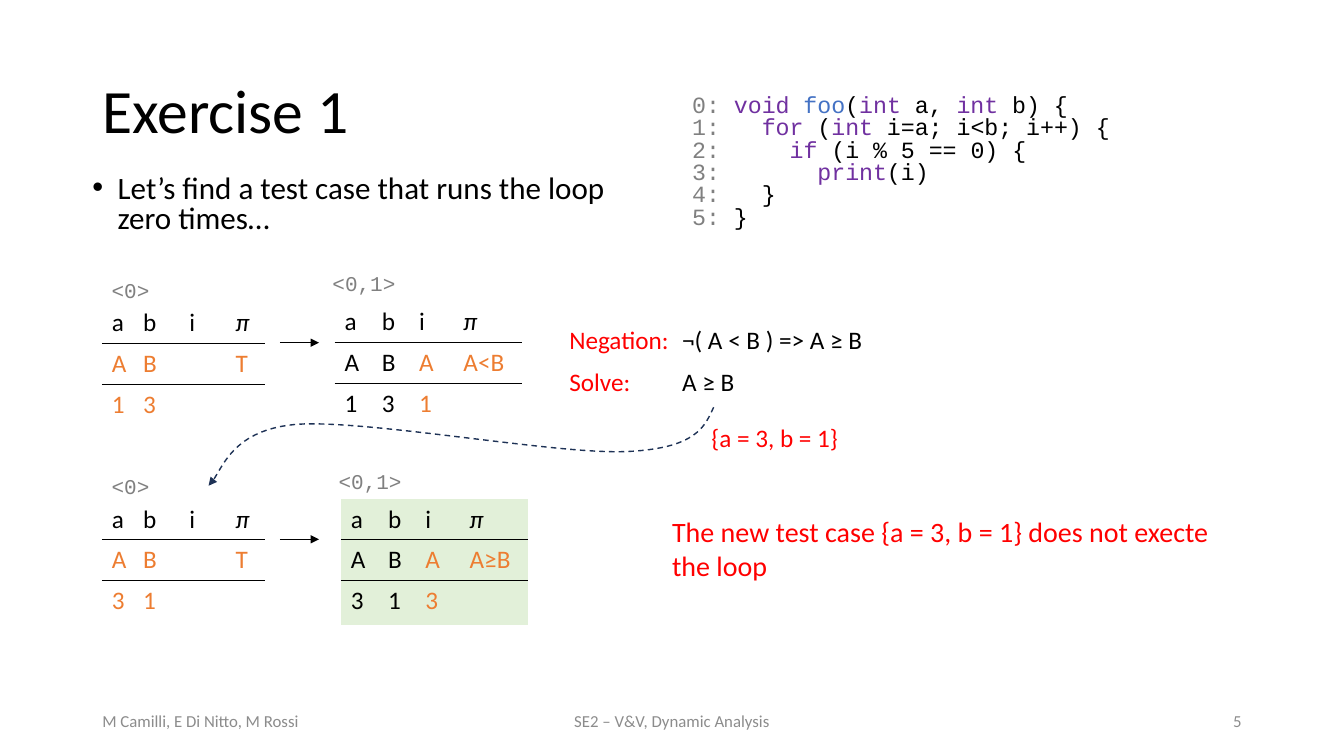
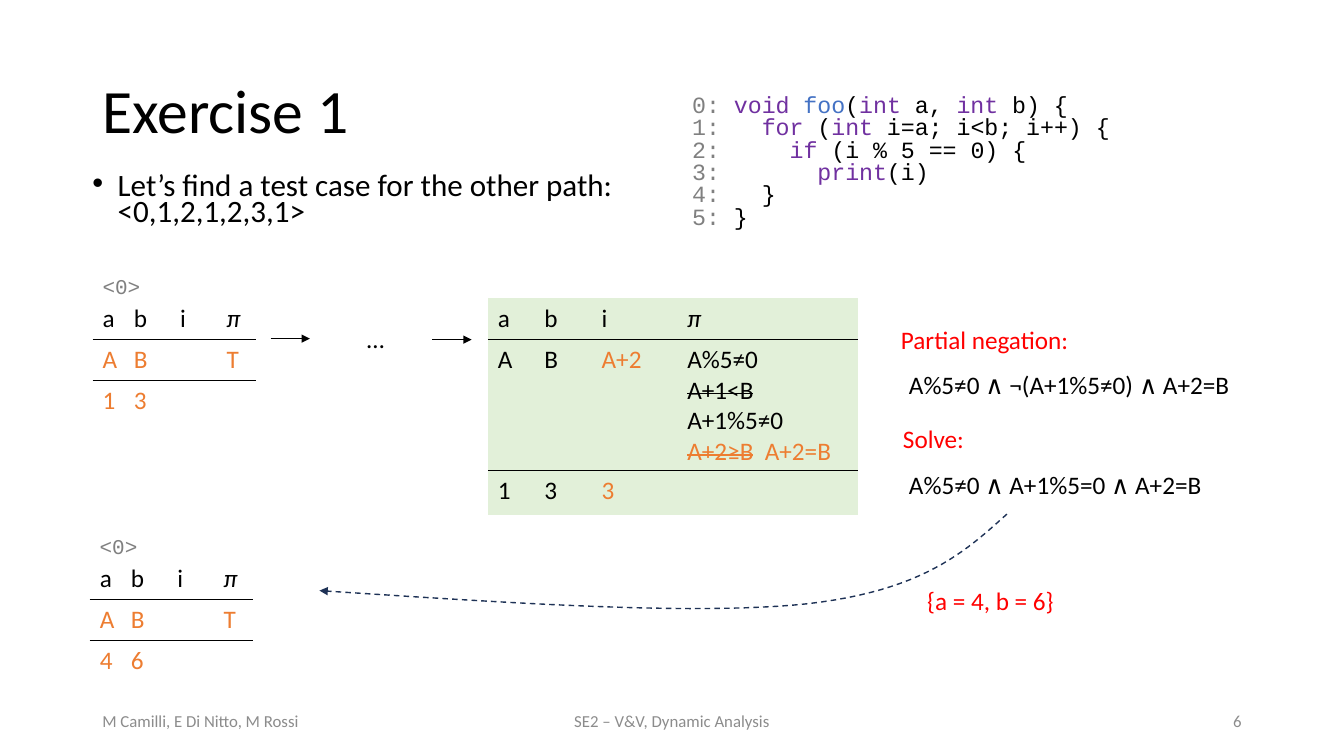
from dataclasses import dataclass
from typing import Sequence

from lxml import etree
from pptx import Presentation
from pptx.dml.color import RGBColor
from pptx.enum.dml import MSO_LINE
from pptx.enum.shapes import MSO_CONNECTOR
from pptx.enum.text import MSO_ANCHOR, PP_ALIGN
from pptx.oxml.ns import qn
from pptx.util import Pt

LEFT, CENTER, RIGHT = PP_ALIGN.LEFT, PP_ALIGN.CENTER, PP_ALIGN.RIGHT
TOP, MIDDLE = MSO_ANCHOR.TOP, MSO_ANCHOR.MIDDLE
STRAIGHT, DASH = MSO_CONNECTOR.STRAIGHT, MSO_LINE.DASH
PLAIN_TABLE = "{2D5ABB26-0587-4C30-8999-92F81FD0307C}"


@dataclass(frozen=True)
class Theme:
    black: str = "000000"
    red: str = "FF0000"
    orange: str = "ED7D31"
    gray: str = "808080"
    footer: str = "8C8C8C"
    keyword: str = "7030A0"
    function: str = "4472C4"
    navy: str = "1E3256"
    green: str = "E2F0D9"
    sans: str = "Calibri"
    mono: str = "Courier New"
    title_size: float = 44
    body_size: float = 22.2
    note_size: float = 20
    text_size: float = 18
    code_size: float = 16.6
    label_size: float = 15
    footer_size: float = 12


T = Theme()


@dataclass(frozen=True)
class Run:
    text: str
    color: str = T.black
    italic: bool = False
    strike: bool = False


@dataclass(frozen=True)
class Style:
    size: float = T.text_size
    font: str = T.sans
    align: PP_ALIGN = LEFT
    anchor: MSO_ANCHOR = TOP
    spacing: float = 1
    bullet: bool = False


Line = Sequence[Run]
Point = tuple[float, float]


@dataclass(frozen=True)
class State:
    """A symbolic execution state: names, symbols and concrete values."""
    x: float
    y: float
    cols: Sequence[float]
    rows: Sequence[Sequence[Sequence[Line]]]
    fill: str = ""


TITLE = Style(T.title_size, anchor=MIDDLE, spacing=0.9)
TEXT = Style()
NOTE = Style(T.note_size)
LABEL = Style(T.label_size, T.mono)
CODE = Style(T.code_size, T.mono, spacing=0.8)

START_COLS = (22.3, 33.1, 33.1, 28.1)
STEP_COLS = (26.6, 26.6, 31.7, 49)
PATH_COLS = (33.1, 41, 61.2, 128.9)
ROW_HEIGHTS = (29.2, 29.2, 32)


def num(n: int) -> Run:
    return Run(f"{n}:", T.gray)


def kw(text: str) -> Run:
    return Run(text, T.keyword)


def cell(text: str, color: str = T.black) -> Sequence[Line]:
    return ((Run(text, color),),) if text else ()


HEADER = (cell("a"), cell("b"), cell("i"), ((Run("π", italic=True),),))
SOURCE_CODE = (
    (num(0), kw(" void "), Run("foo", T.function), Run("("), kw("int"),
     Run(" a, "), kw("int"), Run(" b) {")),
    (num(1), kw("   for "), Run("("), kw("int "), Run("i=a; i<b; i++) {")),
    (num(2), kw("     if"), Run(" (i % 5 == 0) {")),
    (num(3), kw("       print"), Run("(i)")),
    (num(4), Run("   }")),
    (num(5), Run(" }")),
)


# Text
def write(tf, lines: Sequence[Line], st: Style) -> None:
    p = tf.paragraphs[0]
    if st.bullet:
        pPr = p._p.get_or_add_pPr()
        pPr.set("marL", str(Pt(18)))
        pPr.set("indent", str(-Pt(18)))
        etree.SubElement(pPr, qn("a:buFont"), typeface="Arial")
        etree.SubElement(pPr, qn("a:buChar"), char="•")
    p.alignment = st.align
    p.line_spacing = st.spacing
    for i, line in enumerate(lines):
        if i:
            p.add_line_break()
            etree.SubElement(p._p[-1], qn("a:rPr"), sz=str(round(st.size * 100)))
        for run in line:
            r = p.add_run()
            r.text = run.text
            r.font.size = Pt(st.size)
            r.font.name = st.font
            r.font.color.rgb = RGBColor.from_string(run.color)
            if run.italic:
                r.font.italic = True
            if run.strike:
                r._r.get_or_add_rPr().set("strike", "sngStrike")


def add_lines(s, x: float, y: float, w: float, h: float,
              lines: Sequence[Line], st: Style = TEXT) -> None:
    tf = s.shapes.add_textbox(Pt(x), Pt(y), Pt(w), Pt(h)).text_frame
    tf.word_wrap = True
    tf.vertical_anchor = st.anchor
    write(tf, lines, st)


def add_text(s, x: float, y: float, w: float, text: str,
             color: str = T.black, st: Style = TEXT, h: float = 28.8) -> None:
    add_lines(s, x, y, w, h, [(Run(t, color),) for t in text.split("\n")], st)


# Arrows
def add_arrowhead(sp) -> None:
    etree.SubElement(sp.line._get_or_add_ln(), qn("a:tailEnd"), type="triangle")


def add_arrow(s, x: float, y: float) -> None:
    sp = s.shapes.add_connector(STRAIGHT, Pt(x), Pt(y), Pt(x + 28), Pt(y))
    sp.line.color.rgb = RGBColor.from_string(T.black)
    sp.line.width = Pt(0.5)
    add_arrowhead(sp)
    etree.SubElement(sp._element.spPr, qn("a:effectLst"))


def bezier(a: Point, b: Point, c: Point, d: Point, t: float) -> Point:
    u = 1 - t
    x, y = (u**3 * a[k] + 3 * u * u * t * b[k] + 3 * u * t * t * c[k] + t**3 * d[k]
            for k in (0, 1))
    return Pt(x), Pt(y)


def add_curve(s, pts: Sequence[Point], steps: int = 24) -> None:
    """Dashed arrow along chained cubic curves, three points per curve."""
    outline = [bezier(*pts[i:i + 4], n / steps)
               for i in range(0, len(pts) - 1, 3) for n in range(1, steps + 1)]
    fb = s.shapes.build_freeform(Pt(pts[0][0]), Pt(pts[0][1]), scale=1.0)
    fb.add_line_segments(outline, close=False)
    sp = fb.convert_to_shape()
    sp.shadow.inherit = False
    sp.fill.background()
    sp.line.color.rgb = RGBColor.from_string(T.navy)
    sp.line.width = Pt(1)
    sp.line.dash_style = DASH
    add_arrowhead(sp)


# State tables
def add_border(tcPr, side: str) -> None:
    ln = etree.Element(qn(f"a:{side}"), w=str(Pt(1)))
    fill = etree.SubElement(ln, qn("a:solidFill"))
    etree.SubElement(fill, qn("a:srgbClr"), val=T.black)
    tcPr.insert(0, ln)


def add_state(s, st: State) -> None:
    tbl = s.shapes.add_table(len(st.rows), len(st.cols), Pt(st.x), Pt(st.y),
                             Pt(sum(st.cols)), Pt(sum(ROW_HEIGHTS))).table
    tbl.first_row = tbl.horz_banding = False
    tbl._tbl.tblPr.find(qn("a:tableStyleId")).text = PLAIN_TABLE
    for col, w in zip(tbl.columns, st.cols):
        col.width = Pt(w)
    for i, row in enumerate(st.rows):
        tbl.rows[i].height = Pt(ROW_HEIGHTS[i])
        for j, lines in enumerate(row):
            c = tbl.cell(i, j)
            write(c.text_frame, lines, TEXT)
            if st.fill:
                c.fill.solid()
                c.fill.fore_color.rgb = RGBColor.from_string(st.fill)
            else:
                c.fill.background()
            tcPr = c._tc.get_or_add_tcPr()
            if i < len(st.rows) - 1:
                add_border(tcPr, "lnB")
            if i:
                add_border(tcPr, "lnT")


def add_start(s, x: float, y: float, a: str, b: str, arrow: bool = True) -> None:
    """State at line 0, with its label and the arrow to the next state."""
    rows = (HEADER,
            [cell(t, T.orange) for t in ("A", "B", "", "T")],
            [cell(t, T.orange) for t in (a, b, "", "")])
    add_state(s, State(x, y, START_COLS, rows))
    add_text(s, x, y - 21.6, 67, "<0>", T.gray, LABEL, 25.2)
    if arrow:
        add_arrow(s, x + 127.2, y + 28.8)


def add_step(s, x: float, y: float, a: str, b: str, condition: str,
             fill: str = "") -> None:
    """State after line 1, with its label."""
    rows = (HEADER,
            (cell("A"), cell("B"), cell("A", T.orange), cell(condition, T.orange)),
            (cell(a), cell(b), cell(a, T.orange), ()))
    add_state(s, State(x, y, STEP_COLS, rows, fill))
    add_text(s, x - 8.6, y - 25.4, 67, "<0,1>", T.gray, LABEL, 25.2)


# Shared frame: title, task, code and footer
def add_exercise(prs, number: int, task: str, spacing: float):
    s = prs.slides.add_slide(prs.slide_layouts[6])
    for x, w, text, align in ((66, 216, "M Camilli, E Di Nitto, M Rossi", LEFT),
                              (318, 324, "SE2 – V&V, Dynamic Analysis", CENTER),
                              (678, 216, str(number), RIGHT)):
        add_text(s, x, 500.5, w, text, T.footer,
                 Style(T.footer_size, align=align, anchor=MIDDLE))
    add_text(s, 66, 28.75, 828, "Exercise 1", T.black, TITLE, 104.4)
    add_text(s, 59, 121.7, 828, task, T.black,
             Style(T.body_size, spacing=spacing, bullet=True), 54)
    add_lines(s, 487.4, 64.8, 341.3, 110.2, SOURCE_CODE, CODE)
    return s


def build_zero_loops(prs) -> None:
    s = add_exercise(prs, 5, "Let’s find a test case that runs the loop\nzero times…", 0.8)
    add_start(s, 72.7, 216, "1", "3")
    add_step(s, 239, 215.3, "1", "3", "A<B")
    add_start(s, 72.7, 356.4, "3", "1")
    add_step(s, 243.4, 356.4, "3", "1", "A≥B", T.green)
    for y, name, formula in ((228.2, "Negation:", "¬( A < B ) => A ≥ B"),
                             (257.8, "Solve:", "A ≥ B")):
        add_text(s, 399.6, y, 87.8, name, T.red)
        add_text(s, 480.2, y, 182.9, formula)
    add_curve(s, ((509.8, 290.9), (503.3, 305.3), (496.8, 320.4), (447.1, 322.6),
                  (397.4, 324.7), (261.4, 299.5), (211.7, 303.1),
                  (162, 307.4), (158.4, 339.1), (149, 347)))
    add_text(s, 501.1, 298.1, 141, "{a = 3, b = 1}", T.red)
    add_text(s, 473, 364.3, 417, "The new test case {a = 3, b = 1} does not execte\nthe loop",
             T.red, NOTE, 55.4)


def build_other_path(prs) -> None:
    s = add_exercise(prs, 6, "Let’s find a test case for the other path:\n<0,1,2,1,2,3,1>", 0.7)
    add_start(s, 66.2, 213.1, "1", "3")
    add_text(s, 254.9, 227.5, 28.1, "…")
    add_arrow(s, 308.9, 242.6)
    conditions = ((Run("A%5≠0"),), (Run("A+1<B", strike=True),), (Run("A+1%5≠0"),),
                  (Run("A+2≥B", T.orange, strike=True), Run("  A+2=B", T.orange)))
    add_state(s, State(348.5, 213.1, PATH_COLS, (
        HEADER,
        (cell("A"), cell("B"), cell("A+2", T.orange), conditions),
        (cell("1"), cell("3"), cell("3", T.orange), ())), T.green))
    add_text(s, 636.5, 228.2, 141, "Partial negation:", T.red)
    add_text(s, 642.2, 260.6, 252, "A%5≠0 ∧ ¬(A+1%5≠0) ∧ A+2=B")
    add_text(s, 637.9, 298.8, 87.8, "Solve:", T.red)
    add_text(s, 642.2, 331.8, 241.2, "A%5≠0 ∧ A+1%5=0 ∧ A+2=B")
    add_start(s, 64.1, 398.9, "4", "6", arrow=False)
    add_text(s, 655.2, 414.7, 141, "{a = 4, b = 6}", T.red)
    add_curve(s, ((719.3, 367.2), (689, 394.6), (658.8, 421.9), (576.7, 431.3),
                  (495.4, 439.9), (362.2, 430.6), (228.2, 421.9)))


def main() -> None:
    prs = Presentation()
    prs.slide_width, prs.slide_height = Pt(960), Pt(540)
    build_zero_loops(prs)
    build_other_path(prs)
    prs.save("out.pptx")


if __name__ == "__main__":
    main()
